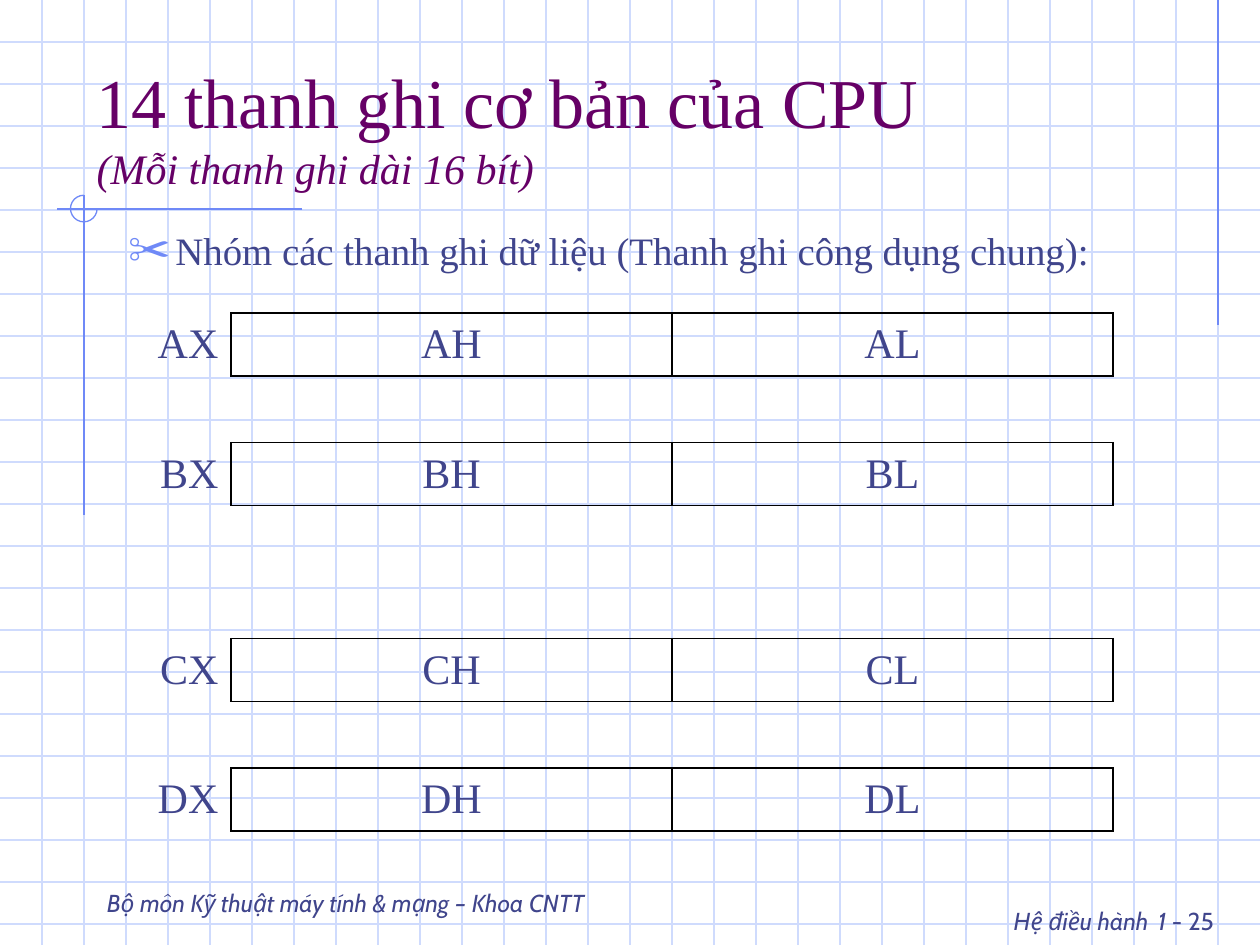
"""Builds a slide listing the general-purpose registers of a processor."""
from pptx import Presentation
from pptx.dml.color import RGBColor
from pptx.enum.shapes import MSO_CONNECTOR, MSO_SHAPE
from pptx.enum.text import MSO_ANCHOR, MSO_AUTO_SIZE, PP_ALIGN
from pptx.oxml import parse_xml
from pptx.oxml.ns import nsdecls
from pptx.util import Pt

GRID_BLUE = RGBColor(0xCF, 0xDB, 0xFD)
ACCENT_BLUE = RGBColor(0x6F, 0x89, 0xF7)
TEXT_BLUE = RGBColor(0x40, 0x45, 0x8C)
PURPLE = RGBColor(0x66, 0x00, 0x66)
BLACK = RGBColor(0x00, 0x00, 0x00)
SERIF = "Times New Roman"
SANS = "Cabin"

WIDTH, HEIGHT, GRID_STEP = 720, 540, 24
TITLE = "14 thanh ghi cơ bản của CPU \v(Mỗi thanh ghi dài 16 bít)"
TITLE_RUNS = [(40, False), (24, True)]
HEADING = "Nhóm các thanh ghi dữ liệu (Thanh ghi công dụng chung):"
REGISTERS = {
    1: ("AX", "AH", "AL"),
    3: ("BX", "BH", "BL"),
    6: ("CX", "CH", "CL"),
    8: ("DX", "DH", "DL"),
}
COLUMN_WIDTHS = [78, 252, 252]
ROW_HEIGHTS = [41, 36, 38, 36, 38, 38, 36, 38, 36]
ACCENT_LINES = [
    (696, 0, 696, 186),
    (172.8, 119.5, 32.4, 119.5),
    (48, 111.6, 48, 294.5),
]
FOOTER = [("Bộ môn Kỹ thuật máy tính & mạng – Khoa CNTT", 14, True)]
PAGE_NUMBER = [("Hệ điều hành", 14, True), (" ", 24, False), ("1", 14, True), (" - 25", 14, False)]


def style_font(font, name, size, color, italic=False):
    font.name, font.size, font.italic = name, Pt(size), italic
    font.color.rgb = color


def place(shape, left, top, width, height):
    shape.left, shape.top = Pt(left), Pt(top)
    shape.width, shape.height = Pt(width), Pt(height)


def add_line(slide, start_x, start_y, end_x, end_y, color):
    line = slide.shapes.add_connector(
        MSO_CONNECTOR.STRAIGHT, Pt(start_x), Pt(start_y), Pt(end_x), Pt(end_y))
    line.line.color.rgb = color
    line.line.width = Pt(0.75)
    line.element.spPr.append(parse_xml(f"<a:effectLst {nsdecls('a')}/>"))


def add_background(slide):
    for y in range(GRID_STEP, HEIGHT, GRID_STEP):
        add_line(slide, 0, y, WIDTH, y, GRID_BLUE)
    for x in range(GRID_STEP, WIDTH, GRID_STEP):
        add_line(slide, x, 0, x, HEIGHT, GRID_BLUE)
    for ends in ACCENT_LINES:
        add_line(slide, *ends, ACCENT_BLUE)
    arc = slide.shapes.add_shape(MSO_SHAPE.ARC, Pt(40.3), Pt(111.6), Pt(15.2), Pt(15.2))
    arc.adjustments[0], arc.adjustments[1] = 0, 162
    arc.shadow.inherit = False
    arc.fill.background()
    arc.line.color.rgb = ACCENT_BLUE
    arc.line.width = Pt(0.75)


def add_note(slide, box, runs, alignment, anchor):
    frame = slide.shapes.add_textbox(*map(Pt, box)).text_frame
    frame.word_wrap = True
    frame.vertical_anchor = anchor
    paragraph = frame.paragraphs[0]
    paragraph.alignment = alignment
    for text, size, italic in runs:
        run = paragraph.add_run()
        run.text = text
        style_font(run.font, SANS, size, TEXT_BLUE, italic)


def fill_placeholder(slide, shape, box, text, anchor):
    slide.shapes.element.append(shape.element)
    place(shape, *box)
    frame = shape.text_frame
    frame.text = text
    frame.word_wrap = True
    frame.auto_size = MSO_AUTO_SIZE.NONE
    frame.vertical_anchor = anchor
    paragraph = frame.paragraphs[0]
    paragraph.alignment = PP_ALIGN.LEFT
    paragraph.space_before = Pt(0)
    return paragraph


def add_title(slide):
    paragraph = fill_placeholder(
        slide, slide.shapes.title, (48, 24, 612, 90), TITLE, MSO_ANCHOR.BOTTOM)
    for run, (size, italic) in zip(paragraph.runs, TITLE_RUNS):
        style_font(run.font, SERIF, size, PURPLE, italic)


def add_heading(slide):
    paragraph = fill_placeholder(
        slide, slide.placeholders[1], (66, 126, 606, 42), HEADING, MSO_ANCHOR.TOP)
    properties = paragraph._p.get_or_add_pPr()
    properties.set("marL", str(Pt(27)))
    properties.set("indent", str(-Pt(27)))
    for bullet in (
        f'<a:buClr {nsdecls("a")}><a:srgbClr val="{ACCENT_BLUE}"/></a:buClr>',
        f'<a:buSzPct {nsdecls("a")} val="110000"/>',
        f'<a:buChar {nsdecls("a")} char="✂"/>',
    ):
        properties.append(parse_xml(bullet))
    style_font(paragraph.runs[0].font, SERIF, 22.2, TEXT_BLUE)


def set_borders(cell, edges):
    properties = cell._tc.get_or_add_tcPr()
    for edge in "LRTB":
        fill = (f'<a:solidFill><a:srgbClr val="{BLACK}"/></a:solidFill>'
                if edge in edges else "<a:noFill/>")
        properties.append(parse_xml(
            f'<a:ln{edge} {nsdecls("a")} w="{Pt(0.96)}">{fill}</a:ln{edge}>'))


def visible_edges(row, column):
    if column == 0:
        return "R" if row in REGISTERS else ""
    if row in REGISTERS:
        return "LRTB"
    return ("T" if row - 1 in REGISTERS else "") + ("B" if row + 1 in REGISTERS else "")


def add_register_table(slide):
    table = slide.shapes.add_table(
        len(ROW_HEIGHTS), len(COLUMN_WIDTHS), Pt(54), Pt(138),
        Pt(sum(COLUMN_WIDTHS)), Pt(sum(ROW_HEIGHTS))).table
    table.first_row = table.horz_banding = False
    for column, width in zip(table.columns, COLUMN_WIDTHS):
        column.width = Pt(width)
    for row_index, height in enumerate(ROW_HEIGHTS):
        table.rows[row_index].height = Pt(height)
        texts = REGISTERS.get(row_index, ("", "", ""))
        for column_index, text in enumerate(texts):
            cell = table.cell(row_index, column_index)
            set_borders(cell, visible_edges(row_index, column_index))
            cell.fill.background()
            cell.vertical_anchor = MSO_ANCHOR.MIDDLE
            if text:
                cell.text_frame.text = text
                paragraph = cell.text_frame.paragraphs[0]
                paragraph.alignment = PP_ALIGN.CENTER if column_index else PP_ALIGN.RIGHT
                style_font(paragraph.runs[0].font, SERIF, 24, TEXT_BLUE)
    table.cell(0, 1).merge(table.cell(0, 2))


def main():
    presentation = Presentation()
    presentation.slide_width, presentation.slide_height = Pt(WIDTH), Pt(HEIGHT)
    slide = presentation.slides.add_slide(presentation.slide_layouts[1])
    add_background(slide)
    add_note(slide, (492, 504, 208.8, 36), PAGE_NUMBER, PP_ALIGN.RIGHT, MSO_ANCHOR.TOP)
    add_note(slide, (54, 492, 402, 36), FOOTER, PP_ALIGN.LEFT, MSO_ANCHOR.BOTTOM)
    add_title(slide)
    add_heading(slide)
    add_register_table(slide)
    presentation.save("out.pptx")


if __name__ == "__main__":
    main()
